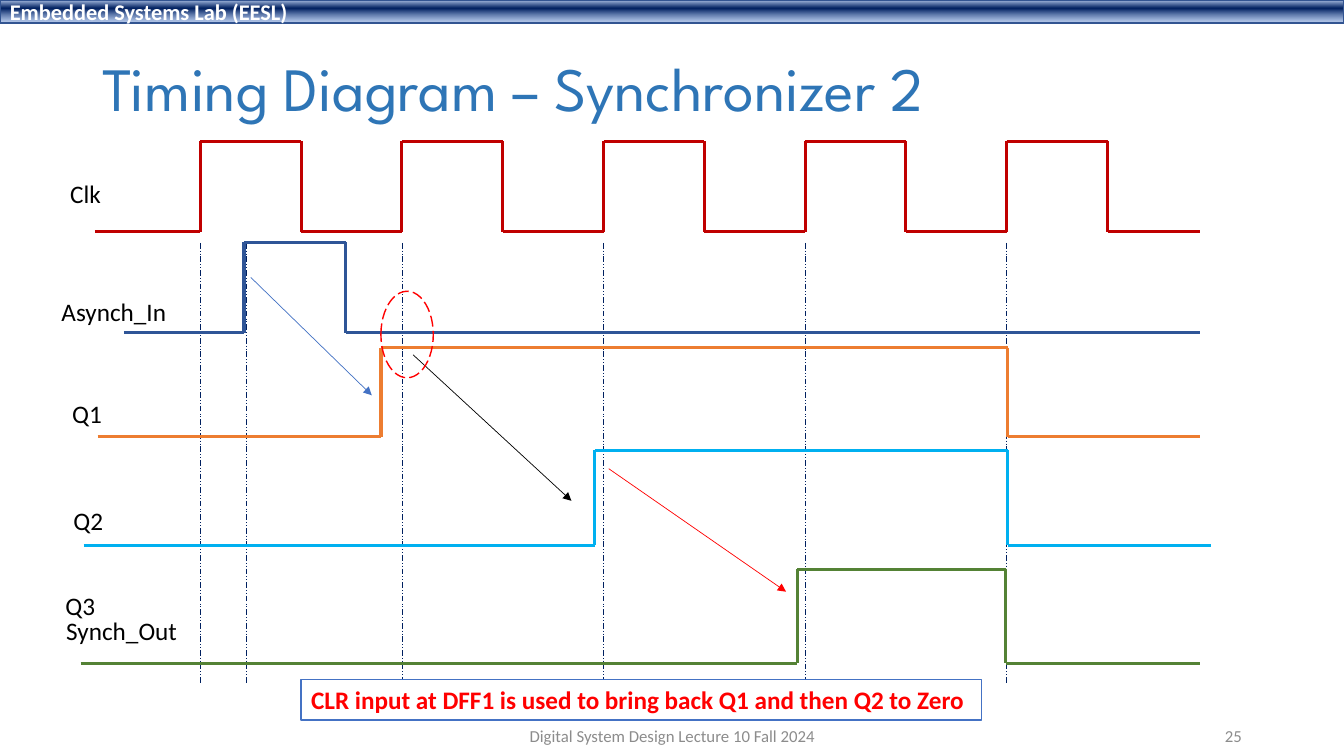
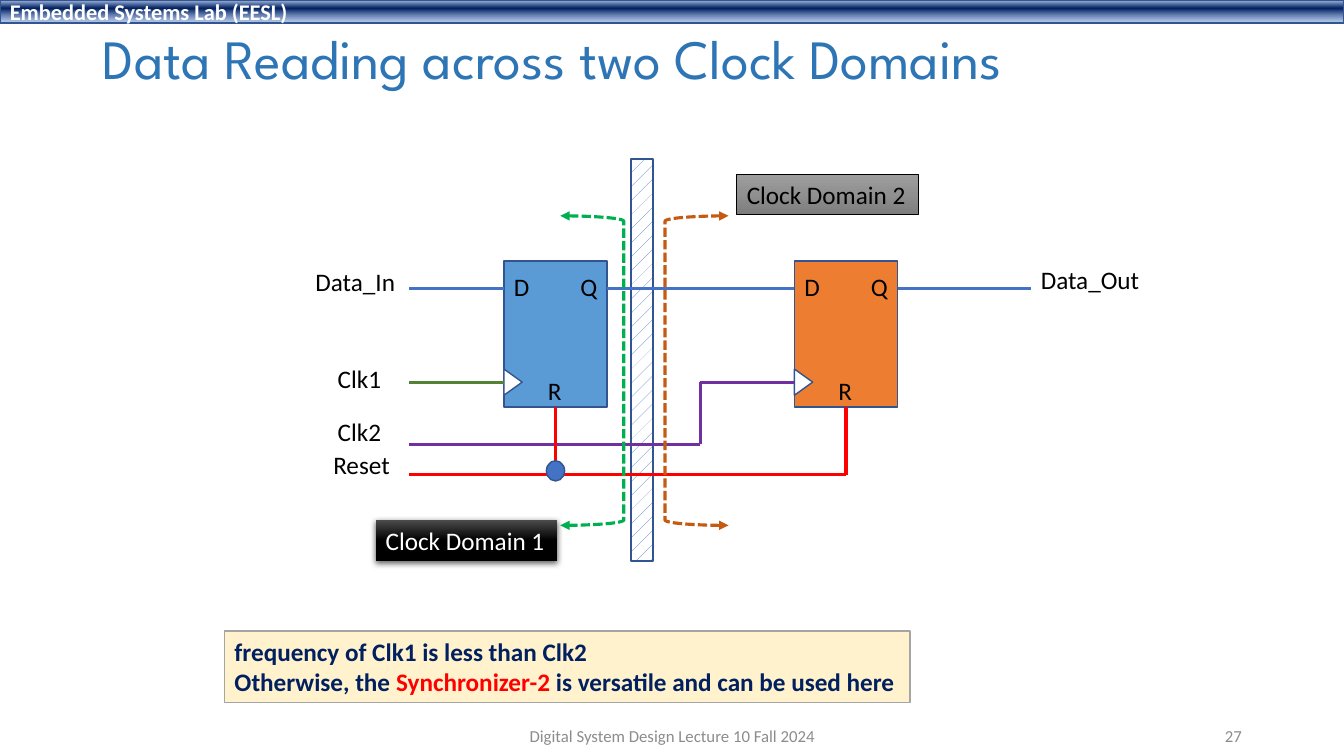
from itertools import pairwise

from lxml.etree import SubElement
from pptx import Presentation
from pptx.dml.color import RGBColor
from pptx.enum.dml import MSO_LINE_DASH_STYLE as Dash, MSO_PATTERN_TYPE as Pattern
from pptx.enum.shapes import MSO_CONNECTOR as Connector, MSO_SHAPE as Shape
from pptx.enum.text import MSO_ANCHOR as Anchor, MSO_AUTO_SIZE as AutoSize, PP_ALIGN as Align
from pptx.oxml.ns import qn
from pptx.util import Cm, Pt

COLOURS = {
    "white": "FFFFFF", "black": "000000", "title": "2E75B6", "grey": "8C8C8C",
    "navy": "002060", "outline": "325491", "blue": "4472C4", "sky": "5B9BD5",
    "dark_blue": "2F5597", "cyan": "00B0F0", "orange": "ED7D31", "brown": "C55A11",
    "green": "548235", "bright_green": "00B050", "purple": "7030A0",
    "red": "FF0000", "dark_red": "C00000", "cream": "FFF2CC", "silver": "A5A5A5",
    "band_top": "ABC0E4", "band_bottom": "7E9ED6", "charcoal": "4B4B4B",
    "grey_top": "9D9D9D", "grey_middle": "909090", "grey_bottom": "7C7C7C",
}
BODY_FONT = "Calibri"
TITLE_FONT = "League Spartan"
LINE_HEIGHT = 1.02

CLOCK_START, HALF_PERIOD = 5.05, 2.54
WAVE_END = 30.25
WIRE_START = 10.31
FLIP_FLOP_TOP, FLIP_FLOP_WIDTH, FLIP_FLOP_HEIGHT = 6.58, 2.6, 3.68
DATA_Y, CLOCK_Y, CLOCK_2_Y, RESET_Y = 7.26, 9.63, 11.2, 11.96


def rgb(name):
    """Return the named colour."""
    return RGBColor.from_string(COLOURS[name])


def style_line(line, colour, width, dash=None):
    """Set the colour, width and dash of a line."""
    line.color.rgb = rgb(colour)
    line.width = Pt(width)
    if dash:
        line.dash_style = dash


def add_arrowheads(line, *ends):
    """Put triangles on the given ends of a line."""
    for end in ends:
        SubElement(line._get_or_add_ln(), qn(f"a:{end}"), type="triangle")


def fill_gradient(shape, stops):
    """Fill a shape from top to bottom with (position, colour, opacity) stops."""
    shape.fill.gradient()
    shape.fill.gradient_angle = 270
    stop_list = shape._element.spPr.find(".//" + qn("a:gsLst"))
    for old_stop in list(stop_list):
        stop_list.remove(old_stop)
    for position, colour, opacity in stops:
        stop = SubElement(stop_list, qn("a:gs"), pos=str(position * 1000))
        value = SubElement(stop, qn("a:srgbClr"), val=COLOURS[colour])
        if opacity < 100:
            SubElement(value, qn("a:alpha"), val=str(opacity * 1000))


def add_drop_shadow(shape):
    """Give a shape a soft shadow below it."""
    effects = shape._element.spPr.find(qn("a:effectLst"))
    shadow = SubElement(effects, qn("a:outerShdw"), blurRad=str(Pt(4.5)),
                        dist=str(Pt(1.5)), dir="5400000", rotWithShape="0")
    colour = SubElement(shadow, qn("a:srgbClr"), val=COLOURS["black"])
    SubElement(colour, qn("a:alpha"), val="63000")


def format_text(shape, text, size=18, colour="black", bold=False, align=Align.LEFT,
                font_name=BODY_FONT):
    """Write text into a shape with one format."""
    shape.text_frame.text = text
    for paragraph in shape.text_frame.paragraphs:
        paragraph.alignment = align
        font = paragraph.font
        font.name, font.size, font.bold = font_name, Pt(size), bold
        font.color.rgb = rgb(colour)


def add_shape(slide, kind, box, fill=None, line=None, width=1, dash=None):
    """Add a preset shape with a plain fill and line."""
    shape = slide.shapes.add_shape(kind, *map(Cm, box))
    shape.shadow.inherit = False
    if fill:
        shape.fill.solid()
        shape.fill.fore_color.rgb = rgb(fill)
    else:
        shape.fill.background()
    if line:
        style_line(shape.line, line, width, dash)
    else:
        shape.line.fill.background()
    return shape


def add_text_panel(slide, box, text, colour, bold=False, **style):
    """Add a rectangle that holds text on unwrapped lines."""
    panel = add_shape(slide, Shape.RECTANGLE, box, **style)
    panel.text_frame.word_wrap = False
    format_text(panel, text, colour=colour, bold=bold)
    return panel


def add_label(slide, text, left, top, width):
    """Add a one-line label."""
    label = slide.shapes.add_textbox(Cm(left), Cm(top), Cm(width), Cm(LINE_HEIGHT))
    label.text_frame.word_wrap = False
    label.text_frame.auto_size = AutoSize.SHAPE_TO_FIT_TEXT
    format_text(label, text)


def add_line(slide, start, end, colour, width=2.25, dash=None, arrow=False):
    """Add a straight line or arrow between two points."""
    connector = slide.shapes.add_connector(Connector.STRAIGHT, *map(Cm, (*start, *end)))
    style_line(connector.line, colour, width, dash)
    if arrow:
        add_arrowheads(connector.line, "tailEnd")
    SubElement(connector._element.spPr, qn("a:effectLst"))
    return connector


def add_path(slide, points, colour):
    """Join points with straight lines and return the last line."""
    return [add_line(slide, start, end, colour) for start, end in pairwise(points)][-1]


def add_wave(slide, colour, low, high, start, edges, end=WAVE_END):
    """Draw a signal that starts low and toggles at each edge."""
    points = [(start, low)]
    for index, edge in enumerate(edges):
        before, after = (high, low) if index % 2 else (low, high)
        points += [(edge, before), (edge, after)]
    add_path(slide, points + [(end, low)], colour)


def add_flip_flop(slide, left, fill):
    """Draw a flip-flop with its clock mark and pin names."""
    box = (left, FLIP_FLOP_TOP, FLIP_FLOP_WIDTH, FLIP_FLOP_HEIGHT)
    body = add_shape(slide, Shape.RECTANGLE, box, fill, "outline")
    clock_mark = add_shape(slide, Shape.ISOSCELES_TRIANGLE,
                           (left - 0.1, CLOCK_Y - 0.23, 0.66, 0.46), "white", "outline")
    clock_mark.rotation = 90
    for name, offset, top, width in (("D", 0, 6.71, 0.9), ("Q", 1.68, 6.71, 0.93),
                                     ("R", 0.86, 9.33, 0.86)):
        add_label(slide, name, left + offset, top, width)
    return body


def add_domain_bracket(slide, kind, left, colour):
    """Draw a dashed bracket with an arrowhead on both ends."""
    bracket = add_shape(slide, kind, (left, 5.44, 1.6, 7.8), None, colour, 2.25,
                        Dash.SQUARE_DOT)
    add_arrowheads(bracket.line, "headEnd", "tailEnd")


def add_band(presentation, slide):
    """Draw the top band and move it to the slide master."""
    band = add_shape(slide, Shape.RECTANGLE, (0, 0, 33.87, 0.58), None, "outline")
    fill_gradient(band, [(2, "band_top", 100), (38, "navy", 100), (93, "band_bottom", 64)])
    format_text(band, "Embedded Systems Lab (EESL)", 16, "white", True)
    presentation.slide_master.shapes._spTree.insert(2, band._element)


def add_slide(presentation, title_text, top, height, size, number):
    """Add a slide with its title, footer and number."""
    slide = presentation.slides.add_slide(presentation.slide_layouts[5])
    title = slide.shapes.title
    title.left, title.top, title.width, title.height = map(Cm, (2.34, top, 29.21, height))
    format_text(title, title_text, size, "title", font_name=TITLE_FONT)
    title.text_frame.paragraphs[0].line_spacing = 0.9
    title.text_frame.vertical_anchor = Anchor.MIDDLE
    title.text_frame.auto_size = AutoSize.NONE
    for text, left, width, align in (
            ("Digital System Design Lecture 10 Fall 2024", 11.23, 11.43, Align.CENTER),
            (str(number), 23.93, 7.62, Align.RIGHT)):
        footer = slide.shapes.add_textbox(Cm(left), Cm(18.02), Cm(width), Cm(LINE_HEIGHT))
        footer.text_frame.word_wrap = True
        footer.text_frame.vertical_anchor = Anchor.MIDDLE
        format_text(footer, text, 12, "grey", align=align)
    return slide


def draw_timing(slide):
    """Draw the timing diagram."""
    clock_edges = [CLOCK_START + HALF_PERIOD * index for index in range(10)]
    for x in clock_edges[::2] + [6.22]:
        add_line(slide, (x, 6.12), (x, 17.2), "navy", 0.5, Dash.DASH_DOT_DOT)
    add_wave(slide, "dark_red", 5.84, 3.56, 2.39, clock_edges)
    add_wave(slide, "dark_blue", 8.38, 6.1, 3.12, (6.15, 8.71))
    add_wave(slide, "orange", 11, 8.76, 2.46, (9.6, 25.4))
    add_wave(slide, "cyan", 13.74, 11.35, 2.11, (14.99, 25.4), 30.53)
    add_wave(slide, "green", 16.71, 14.35, 2.03, (20.09, 25.35))
    for label in (("Clk", 1.52, 4.37, 1.3), ("Asynch_In", 1.3, 7.34, 3.18),
                  ("Q1", 1.57, 9.91, 1.27), ("Q2", 1.6, 12.62, 1.27),
                  ("Q3", 1.4, 14.76, 1.27), ("Synch_Out", 1.42, 15.39, 3.33)):
        add_label(slide, *label)
    for start, end, colour in (((6.32, 6.99), (9.37, 9.96), "blue"),
                               ((10.41, 8.94), (14.4, 12.62), "black"),
                               ((15.34, 11.81), (19.81, 14.91), "red")):
        add_line(slide, start, end, colour, 0.5, arrow=True)
    add_shape(slide, Shape.OVAL, (9.6, 7.34, 1.32, 2.18), None, "red", 1, Dash.LONG_DASH)
    add_text_panel(slide, (7.59, 17.12, 17.15, LINE_HEIGHT),
                   "CLR input at DFF1 is used to bring back Q1 and then Q2 to Zero",
                   "red", True, fill="white", line="blue")


def draw_clock_domains(slide):
    """Draw the two flip-flops, their wires and the domain border."""
    border = add_shape(slide, Shape.RECTANGLE, (15.9, 4.01, 0.56, 10.13), None, "outline")
    border.fill.patterned()
    border.fill.pattern = Pattern.PERCENT_5
    border.fill.fore_color.rgb = rgb("blue")
    border.fill.back_color.rgb = rgb("white")

    first_left, second_left = 12.7, 20.02
    first = add_flip_flop(slide, first_left, "sky")
    second = add_flip_flop(slide, second_left, "orange")
    for start, end, y, colour in (
            (WIRE_START, first_left, DATA_Y, "blue"),
            (first_left + FLIP_FLOP_WIDTH, second_left, DATA_Y, "blue"),
            (second_left + FLIP_FLOP_WIDTH, 25.98, DATA_Y, "blue"),
            (WIRE_START, first_left, CLOCK_Y, "green")):
        add_line(slide, (start, y), (end, y), colour)
    add_path(slide, [(WIRE_START, CLOCK_2_Y), (17.65, CLOCK_2_Y), (17.65, CLOCK_Y),
                     (second_left, CLOCK_Y)], "purple")

    first_reset, second_reset = (left + FLIP_FLOP_WIDTH / 2 for left in (first_left, second_left))
    flip_flop_bottom = FLIP_FLOP_TOP + FLIP_FLOP_HEIGHT
    reset_wire = add_path(slide, [(WIRE_START, RESET_Y), (second_reset, RESET_Y),
                                  (second_reset, flip_flop_bottom)], "red")
    reset_wire.end_connect(second, 2)
    reset_branch = add_line(slide, (first_reset, flip_flop_bottom), (first_reset, RESET_Y), "red")
    reset_branch.begin_connect(first, 2)
    add_shape(slide, Shape.OVAL, (first_reset - 0.23, 11.61, 0.46, 0.51), "blue", "outline")

    for label in (("Data_In", 7.7, 6.58, 2.54), ("Clk1", 8.26, 9.02, 1.63),
                  ("Clk2", 8.26, 10.36, 1.63), ("Reset", 8.15, 11.2, 1.96),
                  ("Data_Out", 25.98, 6.53, 3.02)):
        add_label(slide, *label)
    add_domain_bracket(slide, Shape.RIGHT_BRACKET, 14.12, "bright_green")
    add_domain_bracket(slide, Shape.LEFT_BRACKET, 16.76, "brown")
    domain_1 = add_text_panel(slide, (9.47, 13.11, 4.57, LINE_HEIGHT), "Clock Domain 1", "white")
    fill_gradient(domain_1, [(0, "charcoal", 100), (50, "black", 100), (100, "black", 100)])
    add_drop_shadow(domain_1)
    domain_2 = add_text_panel(slide, (18.57, 4.39, 4.57, LINE_HEIGHT), "Clock Domain 2", "black",
                              line="black", width=0.5)
    fill_gradient(domain_2, [(0, "grey_top", 100), (50, "grey_middle", 100),
                             (100, "grey_bottom", 100)])

    note = add_text_panel(slide, (5.66, 15.9, 17.27, 1.8),
                          "frequency of Clk1 is less than Clk2\nOtherwise, the ",
                          "navy", True, fill="cream", line="silver")
    conclusion = note.text_frame.paragraphs[1]
    highlight = conclusion.add_run()
    highlight.text = "Synchronizer-2"
    highlight.font.color.rgb = rgb("red")
    conclusion.add_run().text = " is versatile and can be used here"


def main():
    """Build and save the presentation."""
    presentation = Presentation()
    presentation.slide_width, presentation.slide_height = Cm(33.87), Cm(19.05)
    timing = add_slide(presentation, "Timing Diagram – Synchronizer 2", 1.02, 2.59, 44, 25)
    add_band(presentation, timing)
    draw_timing(timing)
    domains = add_slide(presentation, "Data Reading across two Clock Domains",
                        0.38, 2.36, 39.6, 27)
    draw_clock_domains(domains)
    presentation.save("out.pptx")


if __name__ == "__main__":
    main()
